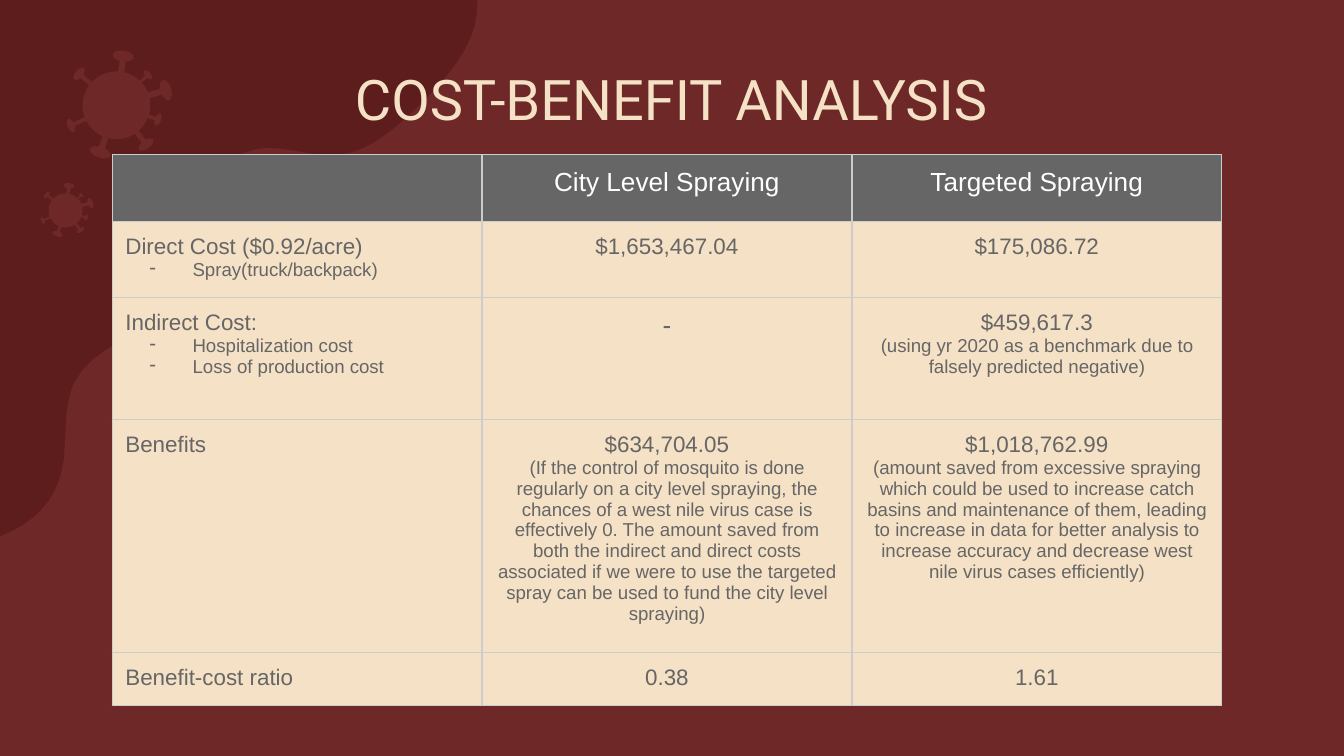
"""Build the cost-benefit analysis slide with its comparison table."""
from itertools import product
from math import cos, pi, radians, sin

from lxml import etree
from pptx import Presentation
from pptx.dml.color import RGBColor
from pptx.enum import text
from pptx.oxml import ns
from pptx.util import Cm, Pt

MAROON = RGBColor(0x6D, 0x28, 0x27)
DARK_MAROON = RGBColor(0x5C, 0x1D, 0x1C)
CREAM = RGBColor(0xF5, 0xE1, 0xC5)
GREY = RGBColor(0x66, 0x66, 0x66)
BORDER_GREY = RGBColor(0xCC, 0xCC, 0xCC)
WHITE = RGBColor(0xFF, 0xFF, 0xFF)

deck = Presentation()
deck.slide_width, deck.slide_height = Cm(25.4), Cm(14.29)
page = deck.slides.add_slide(deck.slide_layouts[6])
page.background.fill.solid()
page.background.fill.fore_color.rgb = MAROON


def add_outline(points, color):
    corners = [(Cm(x), Cm(y)) for x, y in points]
    builder = page.shapes.build_freeform(*corners[0])
    builder.add_line_segments(corners[1:], close=True)
    shape = builder.convert_to_shape()
    shape.shadow.inherit = False
    shape.fill.solid()
    shape.fill.fore_color.rgb = color
    shape.line.fill.background()


def write_paragraph(para, content, color, **font):
    span = para.add_run()
    span.text = content
    span.font.color.rgb = color
    for name, value in font.items():
        setattr(span.font, name, value)


blob = [(-1.7, 10.26)]
blob_curves = [
    ((-1.52, 10.34), (-1.3, 10.34), (-1.07, 10.34)),
    ((-0.2, 10.31), (0.81, 9.98), (1.12, 9.07)),
    ((1.32, 8.48), (1.14, 7.8), (1.4, 7.24)),
    ((1.91, 6.22), (3.63, 6.2), (4.01, 5.13)),
    ((4.09, 4.93), (4.09, 4.7), (4.09, 4.47)),
    ((4.09, 4.32), (4.09, 4.14), (4.09, 3.99)),
    ((4.09, 3.63), (4.11, 3.28), (4.39, 3.05)),
    ((4.65, 2.79), (5.05, 2.77), (5.38, 2.82)),
    ((5.74, 2.87), (6.1, 2.97), (6.45, 2.92)),
    ((7.01, 2.84), (7.44, 2.44), (7.85, 2.06)),
    ((8.41, 1.52), (9.02, 0.86), (9.02, 0.1)),
    ((9.02, -0.2), (8.92, -0.46), (8.81, -0.66)),
]
for curve in blob_curves:
    controls = (blob[-1], *curve)
    for step in range(1, 13):
        t = step / 12
        weights = ((1 - t) ** 3, 3 * t * (1 - t) ** 2, 3 * t * t * (1 - t), t ** 3)
        blob.append(tuple(sum(w * c[axis] for w, c in zip(weights, controls))
                          for axis in (0, 1)))
blob.append((-1.7, -0.66))
add_outline(blob, DARK_MAROON)

BODY_RADIUS = 0.64
STEM = 0.3
spikes = [(-82, 0.94, 0.2), (-44, 0.83, 0.1), (-17, 0.98, 0.2), (19, 0.83, 0.12),
          (53, 0.93, 0.16), (109, 0.94, 0.2), (156, 0.94, 0.13), (220, 0.92, 0.14)]
virus = []
for (degrees, reach, knob), following in zip(spikes, spikes[1:] + [(278, 0.94, 0.2)]):
    angle = radians(degrees)
    for step in range(25):
        turn = STEM + step * (2 * pi - 2 * STEM) / 24
        outward = reach - knob / 2 * cos(turn)
        sideways = -knob * sin(turn)
        virus.append((outward * cos(angle) - sideways * sin(angle),
                      outward * sin(angle) + sideways * cos(angle)))
    start = angle + knob * sin(STEM) / BODY_RADIUS
    end = radians(following[0]) - following[2] * sin(STEM) / BODY_RADIUS
    for step in range(9):
        arc = start + step * (end - start) / 8
        virus.append((BODY_RADIUS * cos(arc), BODY_RADIUS * sin(arc)))
for center_x, center_y, scale in [(2.2, 1.99, 1), (1.24, 3.98, 0.5)]:
    add_outline([(center_x + scale * x, center_y + scale * y) for x, y in virus], MAROON)

box = page.shapes.add_textbox(Cm(1.3), Cm(0.97), Cm(22.78), Cm(2.11))
frame_format = {"word_wrap": True, "vertical_anchor": text.MSO_ANCHOR.TOP,
                "margin_left": Cm(0.25), "margin_right": Cm(0.25),
                "margin_top": Cm(0.25), "margin_bottom": Cm(0.25)}
for name, value in frame_format.items():
    setattr(box.text_frame, name, value)
title = box.text_frame.paragraphs[0]
title.alignment = text.PP_ALIGN.CENTER
write_paragraph(title, "COST-BENEFIT ANALYSIS", CREAM, size=Pt(30), name="Roboto")

rows = [
    [[], ["City Level Spraying"], ["Targeted Spraying"]],
    [["Direct Cost ($0.92/acre)", "Spray(truck/backpack)"],
     ["$1,653,467.04"], ["$175,086.72"]],
    [["Indirect Cost:", "Hospitalization cost", "Loss of production cost"],
     ["-"],
     ["$459,617.3",
      "(using yr 2020 as a benchmark due to falsely predicted negative)"]],
    [["Benefits"],
     ["$634,704.05",
      "(If the control of mosquito is done regularly on a city level spraying, "
      "the chances of a west nile virus case is effectively 0. The amount saved "
      "from both the indirect and direct costs associated if we were to use the "
      "targeted spray can be used to fund the city level spraying)"],
     ["$1,018,762.99",
      "(amount saved from excessive spraying which could be used to increase catch "
      "basins and maintenance of them, leading to increase in data for better "
      "analysis to increase accuracy and decrease west nile virus cases efficiently)"]],
    [["Benefit-cost ratio"], ["0.38"], ["1.61"]],
]
row_heights = [1.23, 1.37, 2.31, 4.14, 0.98]
table = page.shapes.add_table(5, 3, Cm(2.12), Cm(2.92), Cm(20.97),
                              Cm(sum(row_heights))).table
for name in ("first_row", "horz_banding"):
    setattr(table, name, False)
for column in table.columns:
    column.width = Cm(6.99)
for row, height in zip(table.rows, row_heights):
    row.height = Cm(height)

cell_format = {name: value for name, value in frame_format.items() if name != "word_wrap"}
for r, c in product(range(5), range(3)):
    cell = table.cell(r, c)
    for name, value in cell_format.items():
        setattr(cell, name, value)
    cell.fill.solid()
    cell.fill.fore_color.rgb = CREAM if r else GREY
    for position, side in enumerate(("lnL", "lnR", "lnT", "lnB")):
        border = etree.Element(ns.qn(f"a:{side}"), w=str(Pt(0.75)))
        fill = etree.SubElement(border, ns.qn("a:solidFill"))
        etree.SubElement(fill, ns.qn("a:srgbClr"), val=str(BORDER_GREY))
        cell._tc.get_or_add_tcPr().insert(position, border)
    for line, content in enumerate(rows[r][c]):
        frame = cell.text_frame
        para = frame.add_paragraph() if line else frame.paragraphs[0]
        para.alignment = text.PP_ALIGN.CENTER if c else text.PP_ALIGN.LEFT
        size = 10 if line else 14 if r == 0 or content == "-" else 12
        write_paragraph(para, content, GREY if r else WHITE, size=Pt(size), name="Arial")
        if line and c == 0:
            properties = para._p.get_or_add_pPr()
            properties.set("marL", str(Cm(1.27)))
            properties.set("indent", str(Cm(-0.81)))
            bullet_color = etree.SubElement(properties, ns.qn("a:buClr"))
            etree.SubElement(bullet_color, ns.qn("a:srgbClr"), val=str(GREY))
            etree.SubElement(properties, ns.qn("a:buChar"), char="-")

deck.save("out.pptx")
